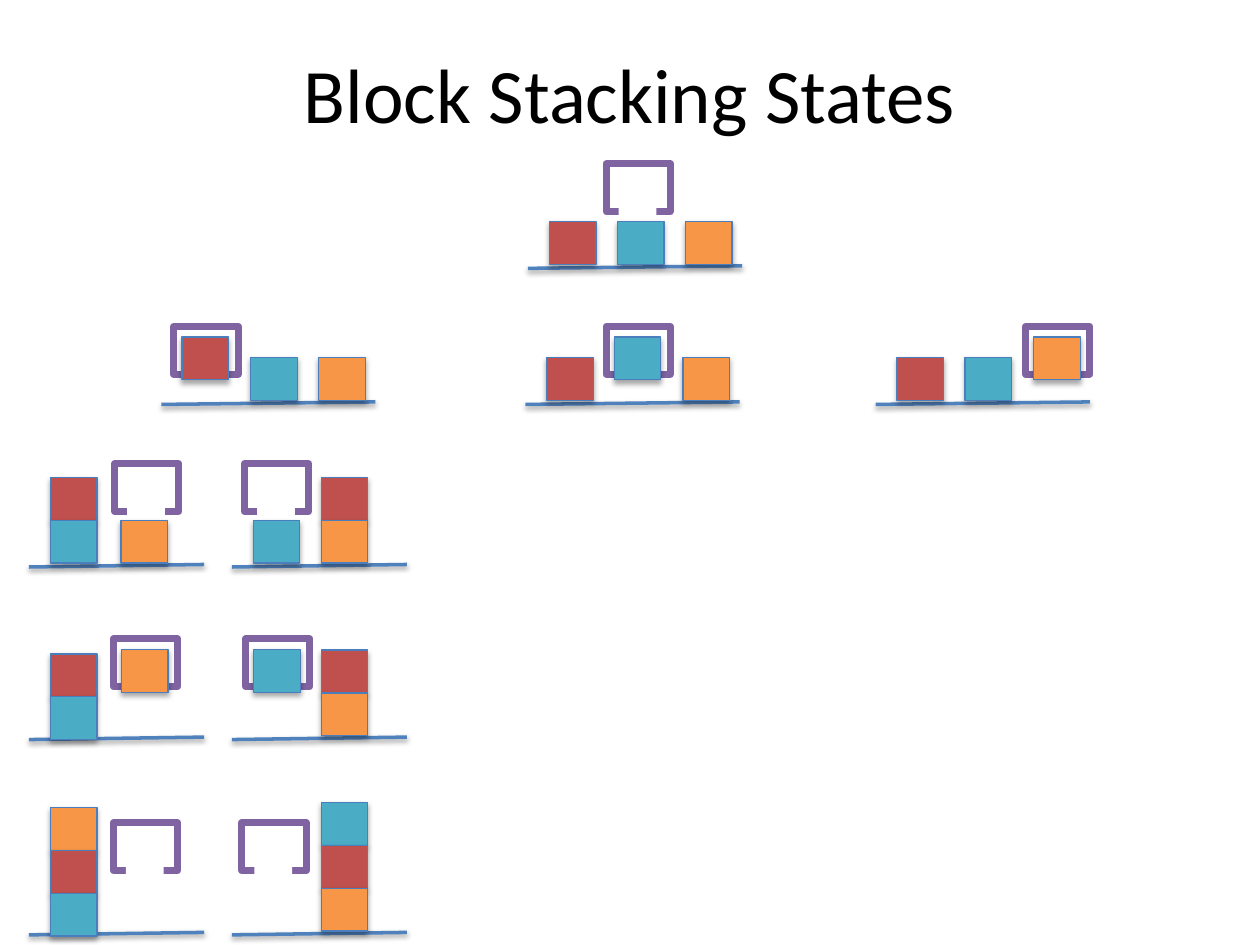
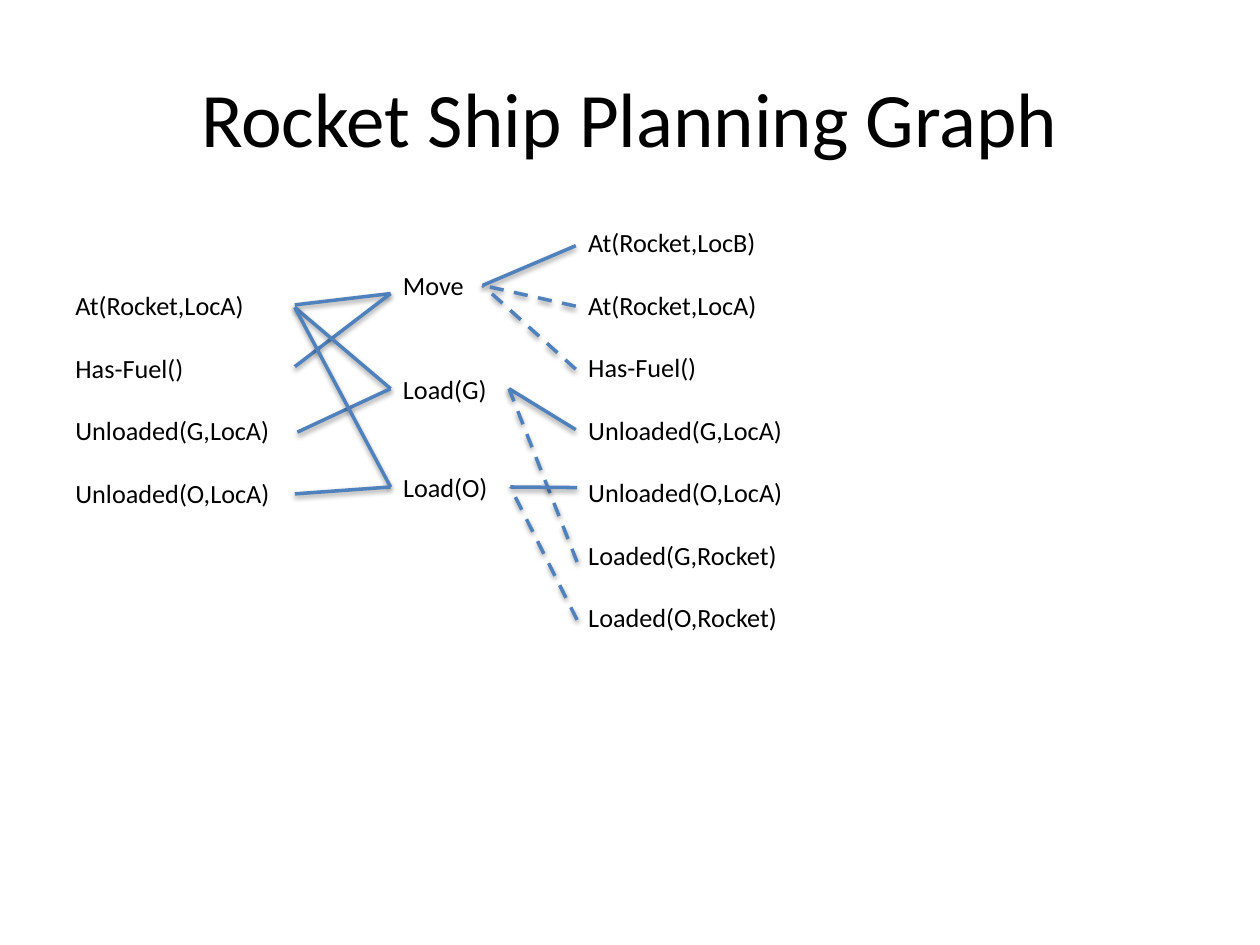
"""Build two planning slides: block stacking states and a rocket ship planning graph."""
from dataclasses import dataclass, field

from lxml import etree
from pptx import Presentation
from pptx.dml.color import RGBColor
from pptx.enum.dml import MSO_LINE
from pptx.enum.shapes import MSO_CONNECTOR, MSO_SHAPE
from pptx.enum.text import MSO_ANCHOR, MSO_AUTO_SIZE, PP_ALIGN
from pptx.oxml.ns import qn
from pptx.util import Inches, Pt

RECTANGLE = MSO_SHAPE.RECTANGLE
STRAIGHT = MSO_CONNECTOR.STRAIGHT
DASH = MSO_LINE.DASH
CENTER = PP_ALIGN.CENTER
MIDDLE = MSO_ANCHOR.MIDDLE
FIT_SHAPE = MSO_AUTO_SIZE.SHAPE_TO_FIT_TEXT
TITLE_ONLY = 5
COLUMNS, ROWS = 100, 75
LEFT_SIDE, RIGHT_SIDE = 1, 3

BLOCK_WIDTH, BLOCK_HEIGHT = 3.7, 3.4
FIRST_SLOT = 1.7
TABLE_SLOPE = 0.2
GRIPPER_SIZE = (5.1, 3.8)
JAW_OFFSET, JAW_SIZE = (1, 3.1), (3, 1.2)
HELD_OFFSET = (0.65, 0.85)


@dataclass(frozen=True)
class Theme:
    font: str = "Calibri"
    title_size: float = 44
    text_size: float = 15
    fact_gap: float = 17.7
    line_width: float = 2
    outline_width: float = 0.75
    gripper_width: float = 4
    ink: str = "000000"
    paper: str = "FFFFFF"
    line: str = "4F81BD"
    outline: str = "4B7EBC"
    gripper: str = "8064A2"
    blocks: dict = field(default_factory=lambda: {
        "R": "C0504D", "T": "4BACC6", "O": "F79646"})


@dataclass(frozen=True)
class State:
    left: float
    ground: float
    width: float
    stacks: tuple
    gripper: tuple
    held: str = ""
    slot_pitch: float = 5.4
    rest: float = 3.7


STATES = [
    State(41.9, 21.3, 17, ("R", "T", "O"), (48.1, 13)),
    State(12.8, 32.1, 17, ("", "T", "O"), (13.8, 25.9), "R"),
    State(41.7, 32.1, 17, ("R", "", "O"), (48.1, 25.9), "T"),
    State(69.5, 32.1, 17, ("R", "T", ""), (81.4, 25.9), "O"),
    State(2.3, 45, 13.9, ("TR", "O"), (9.1, 36.8), slot_pitch=5.6),
    State(18.4, 45, 13.9, ("T", "OR"), (19.4, 36.8)),
    State(2.3, 58.7, 13.9, ("TR", ""), (9, 50.7), "O", rest=3.4),
    State(18.4, 58.7, 13.9, ("", "OR"), (19.5, 50.7), "T"),
    State(2.3, 74.2, 13.9, ("TRO", ""), (9, 65.3), rest=3.3),
    State(18.4, 74.2, 13.9, ("", "ORT"), (19.2, 65.3)),
]

START_FACTS = ["At(Rocket,LocA)", "Has-Fuel()", "Unloaded(G,LocA)", "Unloaded(O,LocA)"]
NEXT_FACTS = ["At(Rocket,LocB)", *START_FACTS, "Loaded(G,Rocket)", "Loaded(O,Rocket)"]
ACTIONS = {
    "Move": (20.9, 7.3),
    "Load(G)": (29.1, 9.4),
    "Load(O)": (36.9, 9.5),
}
MOVE_ENTRY = (31, 23.3)
PRECONDITIONS = [
    ((23.4, 24.2), "Move"),
    ((23.4, 29.1), "Move"),
    ((23.4, 24.4), "Load(G)"),
    ((23.6, 34.3), "Load(G)"),
    ((23.4, 24.4), "Load(O)"),
    ((23.4, 39.2), "Load(O)"),
]
EFFECTS = [
    ((45.7, 19.5), "Move", False),
    ((45.7, 24.3), "Move", True),
    ((45.7, 29.3), "Move", True),
    ((45.7, 34.1), "Load(G)", False),
    ((45.8, 44.6), "Load(G)", True),
    ((45.8, 38.7), "Load(O)", False),
    ((45.8, 49.2), "Load(O)", True),
]


class Painter:
    def __init__(self, deck, theme):
        self.deck = deck
        self.theme = theme
        self.page = None

    def grid(self, column, row):
        return (round(self.deck.slide_width * column / COLUMNS),
                round(self.deck.slide_height * row / ROWS))

    def style(self, para, size):
        para.font.name = self.theme.font
        para.font.size = Pt(size)
        para.font.color.rgb = RGBColor.from_string(self.theme.ink)

    def shadow(self, item, opacity=0, distance=0):
        effects = etree.SubElement(item._element.spPr, qn("a:effectLst"))
        if opacity:
            outer = etree.SubElement(
                effects, qn("a:outerShdw"), blurRad=str(Pt(3.1)),
                dist=str(Pt(distance)), dir="5400000", rotWithShape="0")
            black = etree.SubElement(outer, qn("a:srgbClr"), val=self.theme.ink)
            etree.SubElement(black, qn("a:alpha"), val=str(opacity * 1000))

    def new_page(self, title, top):
        self.page = self.deck.slides.add_slide(self.deck.slide_layouts[TITLE_ONLY])
        box = self.page.shapes.title
        box.left, box.top = self.grid(5, top)
        box.width, box.height = self.grid(90, 12.5)
        box.text_frame.text = title
        box.text_frame.vertical_anchor = MIDDLE
        para = box.text_frame.paragraphs[0]
        para.alignment = CENTER
        self.style(para, self.theme.title_size)

    def rectangle(self, place, size, fill=None, line=None, width=0, shapes=None):
        shapes = self.page.shapes if shapes is None else shapes
        box = shapes.add_shape(RECTANGLE, *self.grid(*place), *self.grid(*size))
        if fill:
            box.fill.solid()
            box.fill.fore_color.rgb = RGBColor.from_string(fill)
        else:
            box.fill.background()
        if line:
            box.line.color.rgb = RGBColor.from_string(line)
            box.line.width = Pt(width)
        else:
            box.line.fill.background()
        return box

    def block(self, kind, place):
        box = self.rectangle(place, (BLOCK_WIDTH, BLOCK_HEIGHT), self.theme.blocks[kind],
                             self.theme.outline, self.theme.outline_width)
        self.shadow(box, 35, 1.8)

    def gripper(self, place, held):
        group = self.page.shapes if held else self.page.shapes.add_group_shape().shapes
        frame = self.rectangle(place, GRIPPER_SIZE, None, self.theme.gripper,
                               self.theme.gripper_width, group)
        self.shadow(frame)
        column, row = place
        if held:
            self.block(held, (column + HELD_OFFSET[0], row + HELD_OFFSET[1]))
        else:
            jaw = self.rectangle((column + JAW_OFFSET[0], row + JAW_OFFSET[1]), JAW_SIZE,
                                 self.theme.paper, shapes=group)
            self.shadow(jaw)

    def line(self, start, end, dashed=False):
        link = self.page.shapes.add_connector(STRAIGHT, *self.grid(*start), *self.grid(*end))
        link.line.color.rgb = RGBColor.from_string(self.theme.line)
        link.line.width = Pt(self.theme.line_width)
        if dashed:
            link.line.dash_style = DASH
        self.shadow(link, 38, 1.6)
        return link

    def state(self, state):
        self.line((state.left, state.ground),
                  (state.left + state.width, state.ground - TABLE_SLOPE))
        for slot, stack in enumerate(state.stacks):
            column = state.left + FIRST_SLOT + slot * state.slot_pitch
            for level, kind in reversed(list(enumerate(stack))):
                self.block(kind, (column, state.ground - state.rest - level * BLOCK_HEIGHT))
        self.gripper(state.gripper, state.held)

    def text(self, lines, place, size, wrap=True):
        box = self.page.shapes.add_textbox(*self.grid(*place), *self.grid(*size))
        frame = box.text_frame
        frame.text = "\n".join(lines)
        frame.word_wrap = wrap
        if not wrap:
            frame.auto_size = FIT_SHAPE
        for number, para in enumerate(frame.paragraphs):
            para.space_before = Pt(self.theme.fact_gap if number else 0)
            self.style(para, self.theme.text_size)
        return box


def draw_states(painter):
    painter.new_page("Block Stacking States", 1.1)
    for state in STATES:
        painter.state(state)


def draw_graph(painter):
    painter.new_page("Rocket Ship Planning Graph", 3)
    painter.text(START_FACTS, (5, 22.5), (23.5, 46.3))
    painter.text(NEXT_FACTS, (45.7, 17.5), (23.5, 51.3))
    boxes = {name: painter.text([name], (31, top), (width, 3.5), wrap=False)
             for name, (top, width) in ACTIONS.items()}
    for start, name in PRECONDITIONS:
        link = painter.line(start, MOVE_ENTRY)
        if name != "Move":
            link.end_connect(boxes[name], LEFT_SIDE)
    for start, name, dashed in EFFECTS:
        link = painter.line(start, MOVE_ENTRY, dashed)
        link.end_connect(boxes[name], RIGHT_SIDE)


def main():
    deck = Presentation()
    deck.slide_width, deck.slide_height = Inches(10), Inches(7.5)
    painter = Painter(deck, Theme())
    draw_states(painter)
    draw_graph(painter)
    deck.save("out.pptx")


if __name__ == "__main__":
    main()
